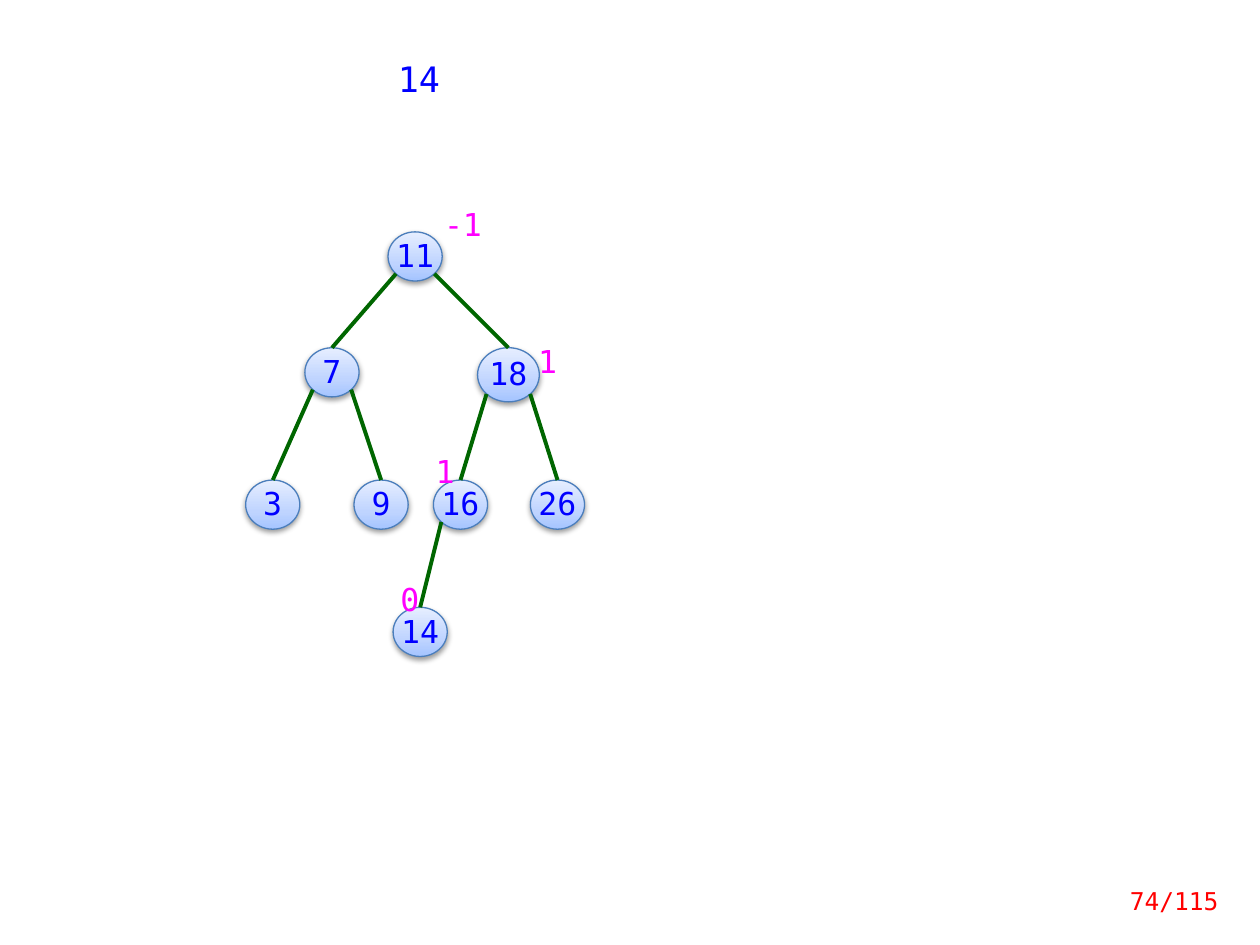
from copy import deepcopy
from dataclasses import dataclass
from math import sqrt

from lxml.etree import SubElement
from pptx import Presentation
from pptx.dml.color import RGBColor
from pptx.enum.shapes import MSO_CONNECTOR, MSO_SHAPE
from pptx.enum.text import MSO_ANCHOR, MSO_AUTO_SIZE, PP_ALIGN
from pptx.oxml.ns import qn
from pptx.util import Inches, Pt


@dataclass(frozen=True)
class Theme:
    font: str = "DejaVu Sans Mono"
    key: str = "0000FF"
    balance: str = "FF00FF"
    page: str = "FF0000"
    edge: str = "006600"
    outline: str = "4B7EBC"
    shadow: str = "000000"
    gradient: tuple = ((0, "A4C4FF"), (0.35, "BFD4FF"), (1, "E6EEFF"))
    title_size: int = 20
    node_size: int = 18
    page_size: int = 14


THEME = Theme()
NODE_SIZE = (0.43, 0.39)
LARGE_NODE_SIZE = (0.49, 0.43)

NODES = {
    "11": (3.08, 1.84, *NODE_SIZE),
    "7": (2.42, 2.76, *NODE_SIZE),
    "18": (3.79, 2.76, *LARGE_NODE_SIZE),
    "3": (1.95, 3.81, *NODE_SIZE),
    "9": (2.81, 3.81, *NODE_SIZE),
    "16": (3.44, 3.81, *NODE_SIZE),
    "26": (4.21, 3.81, *NODE_SIZE),
    "14": (3.12, 4.82, *NODE_SIZE),
}
EDGES = [
    ("11", "7"), ("11", "18"), ("7", "3"), ("7", "9"),
    ("18", "16"), ("18", "26"), ("16", "14"),
]
BALANCES = [
    ("-1", (3.36, 1.6, 0.63, 0.38)),
    ("1", (4.14, 2.69, 0.41, 0.38)),
    ("1", (3.36, 3.56, 0.28, 0.38)),
    ("0", (3.08, 4.58, 0.28, 0.38)),
]


def write_text(shape, text, size, color, align=PP_ALIGN.CENTER, spacing=None):
    shape.text_frame.text = text
    para = shape.text_frame.paragraphs[0]
    para.alignment = align
    para.line_spacing = spacing
    font = para.runs[0].font
    font.name = THEME.font
    font.size = Pt(size)
    font.color.rgb = RGBColor.from_string(color)


def fill_gradient(shape):
    shape.fill.gradient()
    shape.fill.gradient_angle = 90
    stop_list = shape._element.spPr.find(".//" + qn("a:gsLst"))
    stop_list.insert(1, deepcopy(stop_list[0]))
    for stop, (position, color) in zip(shape.fill.gradient_stops, THEME.gradient):
        stop.position = position
        stop.color.rgb = RGBColor.from_string(color)


def add_shadow(shape):
    shape.shadow.inherit = False
    effects = shape._element.spPr.find(qn("a:effectLst"))
    shadow = SubElement(
        effects, qn("a:outerShdw"), blurRad=str(Pt(3.1)), dist=str(Pt(1.6)),
        dir="5400000", rotWithShape="0",
    )
    color = SubElement(shadow, qn("a:srgbClr"), val=THEME.shadow)
    SubElement(color, qn("a:alpha"), val="38000")


def add_node(page, key, bounds):
    node = page.shapes.add_shape(MSO_SHAPE.OVAL, *map(Inches, bounds))
    fill_gradient(node)
    node.line.color.rgb = RGBColor.from_string(THEME.outline)
    node.line.width = Pt(0.75)
    add_shadow(node)
    node.text_frame.word_wrap = False
    node.text_frame.vertical_anchor = MSO_ANCHOR.MIDDLE
    write_text(node, key, THEME.node_size, THEME.key, spacing=Pt(20))
    return node


def add_edge(page, parent, child):
    center = parent.left + parent.width / 2
    side = -1 if child.left < parent.left else 1
    start_x = int(center + side * parent.width / sqrt(8))
    start_y = int(parent.top + parent.height * (0.5 + 1 / sqrt(8)))
    edge = page.shapes.add_connector(
        MSO_CONNECTOR.STRAIGHT, start_x, start_y, child.left, child.top
    )
    edge.end_connect(child, 0)
    edge.line.color.rgb = RGBColor.from_string(THEME.edge)
    edge.line.width = Pt(2.25)
    SubElement(edge._element.spPr, qn("a:effectLst"))


def add_label(page, text, bounds, size, color, **paragraph_options):
    box = page.shapes.add_textbox(*map(Inches, bounds))
    box.text_frame.word_wrap = True
    write_text(box, text, size, color, **paragraph_options)
    return box


def main():
    deck = Presentation()
    deck.slide_width = Inches(10)
    deck.slide_height = Inches(7.5)
    page = deck.slides.add_slide(deck.slide_layouts[6])

    nodes = {key: add_node(page, key, bounds) for key, bounds in NODES.items()}
    for parent, child in EDGES:
        add_edge(page, nodes[parent], nodes[child])

    inserted_key = add_label(
        page, "14", (3.05, 0.47, 0.55, 0.37), THEME.title_size, THEME.key, spacing=0.8
    )
    balances = [
        add_label(page, text, bounds, THEME.node_size, THEME.balance, spacing=Pt(20))
        for text, bounds in BALANCES
    ]
    for box in [inserted_key, *balances]:
        box.text_frame.auto_size = MSO_AUTO_SIZE.SHAPE_TO_FIT_TEXT

    page_number = add_label(
        page, "74/115", (8.63, 6.95, 1.14, 0.4), THEME.page_size, THEME.page,
        align=PP_ALIGN.RIGHT,
    )
    page_number.text_frame.vertical_anchor = MSO_ANCHOR.MIDDLE
    deck.save("out.pptx")


if __name__ == "__main__":
    main()
